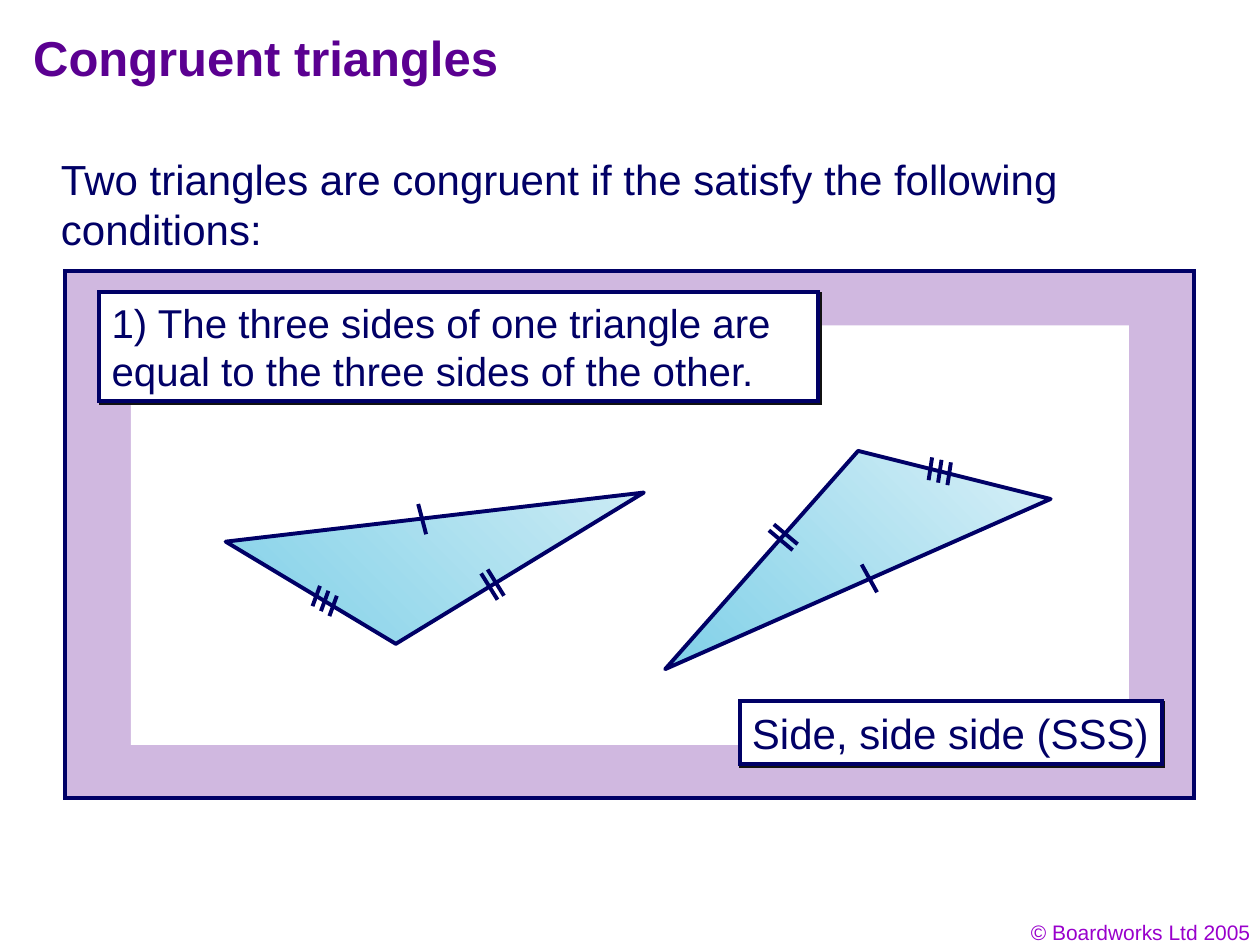
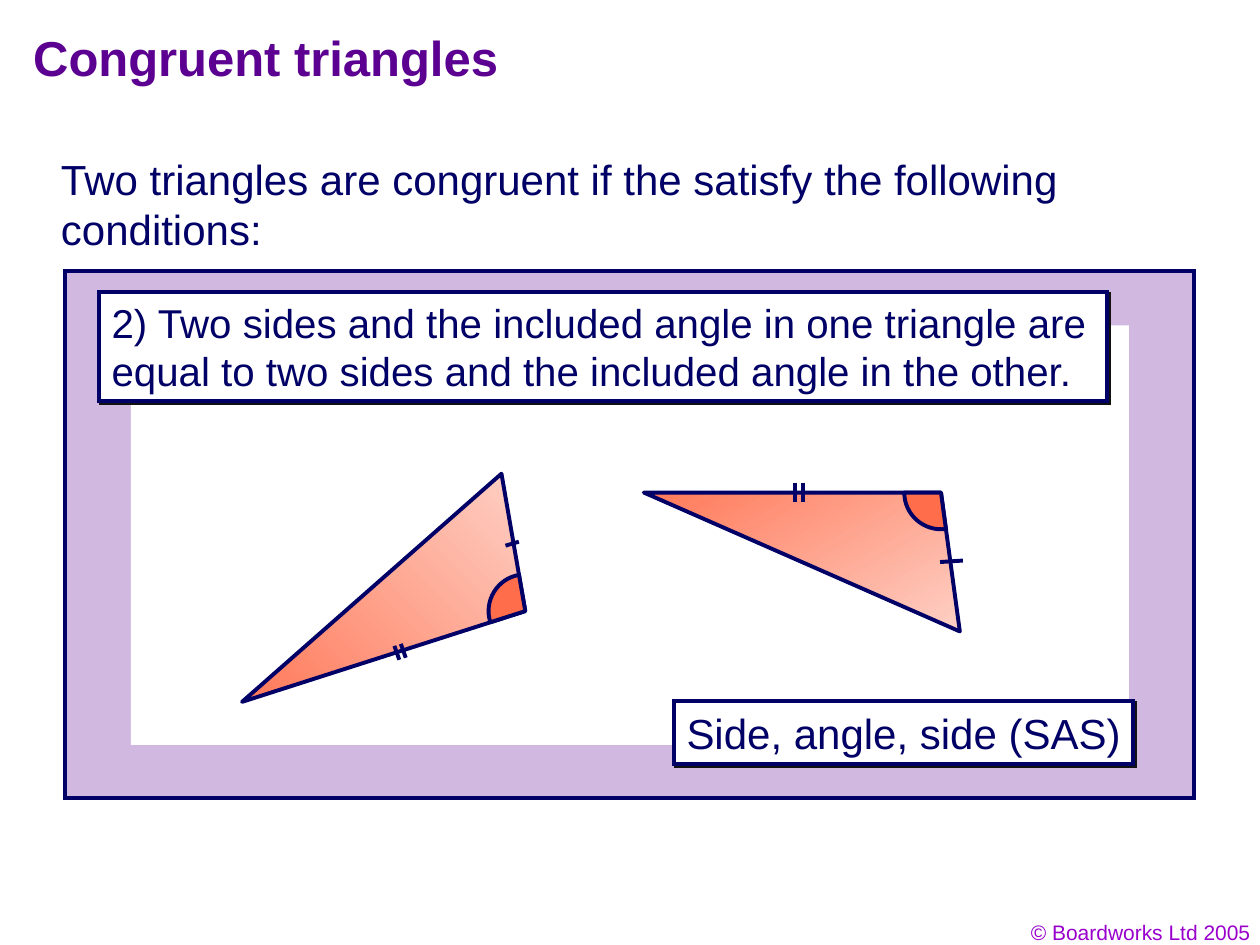
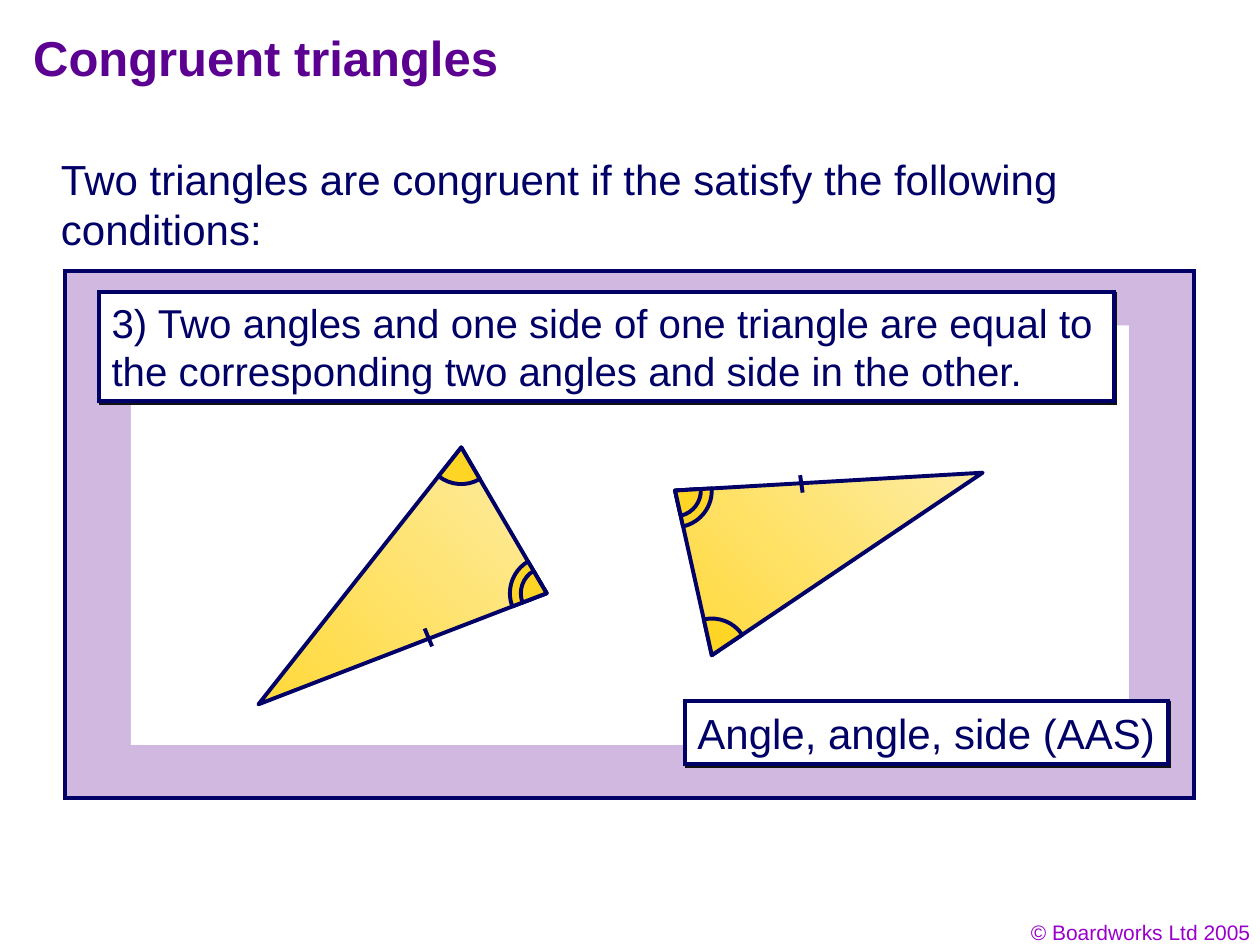
from dataclasses import dataclass
from math import atan2, cos, pi, remainder, sin, tan
from typing import Any

from lxml import etree
from pptx import Presentation
from pptx.dml.color import RGBColor
from pptx.enum.shapes import MSO_CONNECTOR, MSO_SHAPE
from pptx.enum.text import MSO_ANCHOR, PP_ALIGN
from pptx.oxml.ns import qn
from pptx.util import Cm, Pt

RECT = MSO_SHAPE.RECTANGLE
STRAIGHT = MSO_CONNECTOR.STRAIGHT
TOP = MSO_ANCHOR.TOP
LEFT, RIGHT = PP_ALIGN.LEFT, PP_ALIGN.RIGHT

WHITE = RGBColor(0xFF, 0xFF, 0xFF)
NAVY = RGBColor(0x00, 0x00, 0x66)
INK = RGBColor(0x01, 0x00, 0x66)
PURPLE = RGBColor(0x5B, 0x00, 0x91)
VIOLET = RGBColor(0x99, 0x00, 0xCC)
LILAC = RGBColor(0xD0, 0xB8, 0xE0)
SHADOW = RGBColor(0x11, 0x11, 0x11)
PALE_BLUE = RGBColor(0xCB, 0xEB, 0xF4)
PALER_BLUE = RGBColor(0xD9, 0xF0, 0xF7)
BLUE = RGBColor(0x80, 0xD0, 0xE8)
PALE_CORAL = RGBColor(0xFE, 0xD0, 0xC5)
CORAL = RGBColor(0xFF, 0x79, 0x59)
DEEP_CORAL = RGBColor(0xFF, 0x6D, 0x4B)
PALE_GOLD = RGBColor(0xFE, 0xEC, 0xA3)
GOLD = RGBColor(0xFF, 0xD9, 0x39)
DEEP_GOLD = RGBColor(0xFF, 0xD5, 0x25)

LINE_WIDTH = Pt(2.25)
WIDE, NARROW = 0.74, 0.52

Point = tuple[float, float]
Box = tuple[float, float, float, float]


@dataclass(frozen=True)
class TextStyle:
    size: float
    color: RGBColor = INK
    bold: bool = False
    align: Any = LEFT


@dataclass(frozen=True)
class Ticks:
    start: Point
    end: Point
    count: int = 1
    step: Point = (0, 0)


@dataclass(frozen=True)
class Angle:
    corner: int
    radii: tuple[float, ...] = (WIDE,)


@dataclass(frozen=True)
class Triangle:
    corners: tuple[Point, Point, Point]
    light: RGBColor
    dark: RGBColor
    ticks: tuple[Ticks, ...]
    angles: tuple[Angle, ...] = ()
    angle_fill: RGBColor = WHITE
    gradient_angle: float = 225


@dataclass(frozen=True)
class Condition:
    statement: str
    statement_width: float
    label: str
    label_left: float
    label_width: float
    triangles: tuple[Triangle, Triangle]


TITLE = TextStyle(28, PURPLE, bold=True)
BODY = TextStyle(24)
STATEMENT = TextStyle(23)
FOOTER = TextStyle(12, VIOLET, align=RIGHT)

CONDITIONS = (
    Condition(
        "1) The three sides of one triangle are equal to the three sides of the other.", 14.5,
        "Side, side side (SSS)", 14.91, 8.51,
        (
            Triangle(
                ((12.98, 9.93), (7.98, 12.98), (4.55, 10.92)), PALE_BLUE, BLUE,
                (
                    Ticks((6.45, 11.81), (6.3, 12.22), 3, (0.17, 0.1)),
                    Ticks((9.7, 11.56), (10.03, 12.09), 2, (0.13, -0.08)),
                    Ticks((8.59, 10.77), (8.43, 10.16)),
                ),
            ),
            Triangle(
                ((13.41, 13.49), (17.3, 9.09), (21.18, 10.06)), PALER_BLUE, BLUE,
                (
                    Ticks((18.72, 9.68), (18.79, 9.22), 3, (0.19, 0.05)),
                    Ticks((16.08, 10.97), (15.6, 10.57), 2, (-0.1, 0.12)),
                    Ticks((17.37, 11.38), (17.68, 11.94)),
                ),
            ),
        ),
    ),
    Condition(
        "2) Two sides and the included angle in one triangle are equal to two sides "
        "and the included angle in the other.", 20.32,
        "Side, angle, side (SAS)", 13.59, 9.25,
        (
            Triangle(
                ((4.88, 14.15), (10.11, 9.55), (10.59, 12.32)), PALE_CORAL, CORAL,
                (
                    Ticks((8.08, 12.98), (8.18, 13.26), 2, (-0.13, 0.04)),
                    Ticks((10.19, 11), (10.46, 10.92)),
                ),
                (Angle(2),), DEEP_CORAL,
            ),
            Triangle(
                ((12.98, 9.93), (19.35, 12.73), (18.97, 9.93)), PALE_CORAL, CORAL,
                (
                    Ticks((16.03, 9.73), (16.03, 10.11), 2, (0.15, 0)),
                    Ticks((18.95, 11.33), (19.41, 11.3)),
                ),
                (Angle(2),), DEEP_CORAL, gradient_angle=120,
            ),
        ),
    ),
    Condition(
        "3) Two angles and one side of one triangle are equal to the corresponding "
        "two angles and side in the other.", 20.45,
        "Angle, angle, side (AAS)", 13.81, 9.73,
        (
            Triangle(
                ((11.02, 11.96), (5.21, 14.2), (9.3, 9.02)), PALE_GOLD, GOLD,
                (Ticks((8.56, 12.67), (8.71, 13.03)),),
                (Angle(0, (WIDE, NARROW)), Angle(2)), DEEP_GOLD,
            ),
            Triangle(
                ((13.61, 9.89), (19.81, 9.53), (14.35, 13.21)), PALE_GOLD, GOLD,
                (Ticks((16.18, 9.93), (16.13, 9.58)),),
                (Angle(0, (WIDE, NARROW)), Angle(2)), DEEP_GOLD,
            ),
        ),
    ),
)


def write(sp: Any, text: str, style: TextStyle, wrap: bool = True) -> None:
    tf = sp.text_frame
    for name, value in {"word_wrap": wrap, "vertical_anchor": TOP}.items():
        setattr(tf, name, value)
    p = tf.paragraphs[0]
    p.alignment = style.align
    r = p.add_run()
    r.text = text
    font = {"name": "Arial", "size": Pt(style.size), "bold": style.bold}
    for name, value in font.items():
        setattr(r.font, name, value)
    r.font.color.rgb = style.color


def add_text(s: Any, box: Box, text: str, style: TextStyle) -> None:
    write(s.shapes.add_textbox(*map(Cm, box)), text, style)


def outline(sp: Any) -> None:
    sp.line.color.rgb = NAVY
    sp.line.width = LINE_WIDTH


def paint(sp: Any, color: RGBColor) -> None:
    sp.fill.solid()
    sp.fill.fore_color.rgb = color


def add_rect(s: Any, box: Box, fill: RGBColor, outlined: bool = True) -> Any:
    sp = s.shapes.add_shape(RECT, *map(Cm, box))
    sp.shadow.inherit = False
    paint(sp, fill)
    if outlined:
        outline(sp)
        etree.SubElement(sp._element.spPr.find(qn("a:ln")), qn("a:miter"), lim="800000")
    else:
        sp.line.fill.background()
    return sp


def add_card(s: Any, box: Box, text: str, style: TextStyle, wrap: bool) -> None:
    sp = add_rect(s, box, WHITE)
    effects = sp._element.spPr.find(qn("a:effectLst"))
    shadow = etree.SubElement(effects, qn("a:outerShdw"), dist=str(Pt(1.4)), dir="2700000",
                              algn="ctr", rotWithShape="0")
    etree.SubElement(shadow, qn("a:srgbClr"), val=str(SHADOW))
    write(sp, text, style, wrap)


def add_polygon(s: Any, points: list[Point]) -> Any:
    first, *rest = [(Cm(x), Cm(y)) for x, y in points]
    builder = s.shapes.build_freeform(*first, scale=1.0)
    builder.add_line_segments(rest, close=True)
    sp = builder.convert_to_shape()
    sp.shadow.inherit = False
    outline(sp)
    return sp


def add_ticks(s: Any, ticks: Ticks) -> None:
    dx, dy = ticks.step
    for i in range(ticks.count):
        ends = [(x + i * dx, y + i * dy) for x, y in (ticks.start, ticks.end)]
        line = s.shapes.add_connector(STRAIGHT, *(Cm(v) for end in ends for v in end))
        outline(line)
        etree.SubElement(line._element.spPr, qn("a:effectLst"))


def add_sector(s: Any, centre: Point, radius: float, start: float, sweep: float) -> Any:
    x, y = centre
    end = start + sweep
    pull = 4 / 3 * tan(sweep / 4)
    units = [
        (cos(start), sin(start)),
        (cos(start) - pull * sin(start), sin(start) + pull * cos(start)),
        (cos(end) + pull * sin(end), sin(end) - pull * cos(end)),
        (cos(end), sin(end)),
    ]
    tips = [(x + radius * ux, y + radius * uy) for ux, uy in (units[0], units[-1])]
    sp = add_polygon(s, [centre, *tips])
    box = {"left": x - radius, "top": y - radius, "width": 2 * radius, "height": 2 * radius}
    for name, value in box.items():
        setattr(sp, name, Cm(value))

    outline_path = next(sp._element.iter(qn("a:path")))
    for name in ("w", "h"):
        outline_path.set(name, str(Cm(2 * radius)))
    curve = etree.Element(qn("a:cubicBezTo"))
    for _ in units[1:]:
        etree.SubElement(curve, qn("a:pt"))
    outline_path.replace(outline_path[2], curve)
    for pt, (ux, uy) in zip(outline_path.iter(qn("a:pt")), [(0, 0), *units]):
        pt.set("x", str(Cm(radius * (1 + ux))))
        pt.set("y", str(Cm(radius * (1 + uy))))
    return sp


def add_angle(s: Any, triangle: Triangle, angle: Angle) -> None:
    x, y = triangle.corners[angle.corner]
    start, end = (
        atan2(py - y, px - x)
        for i, (px, py) in enumerate(triangle.corners) if i != angle.corner
    )
    sweep = remainder(end - start, 2 * pi)
    for radius in angle.radii:
        paint(add_sector(s, (x, y), radius, start, sweep), triangle.angle_fill)


def add_triangle(s: Any, triangle: Triangle) -> None:
    sp = add_polygon(s, list(triangle.corners))
    sp.fill.gradient()
    sp.fill.gradient_angle = triangle.gradient_angle
    for stop, color in zip(sp.fill.gradient_stops, (triangle.light, triangle.dark)):
        stop.color.rgb = color
    for angle in triangle.angles:
        add_angle(s, triangle, angle)
    for ticks in triangle.ticks:
        add_ticks(s, ticks)


def add_base(s: Any) -> None:
    add_text(s, (19.54, 18.42, 5.92, 0.76), "© Boardworks Ltd 2005", FOOTER)
    add_text(s, (0.42, 0.43, 21.59, 1.7), "Congruent triangles", TITLE)
    add_text(s, (0.98, 2.97, 23.27, 2.29),
             "Two triangles are congruent if the satisfy the following conditions:", BODY)
    add_rect(s, (1.32, 5.46, 22.76, 10.62), LILAC)
    add_rect(s, (2.64, 6.56, 20.12, 8.46), WHITE, outlined=False)


def add_condition(s: Any, c: Condition) -> None:
    add_base(s)
    add_card(s, (2, 5.89, c.statement_width, 2.2), c.statement, STATEMENT, wrap=True)
    add_card(s, (c.label_left, 14.14, c.label_width, 1.27), c.label, BODY, wrap=False)
    for triangle in c.triangles:
        add_triangle(s, triangle)


def main() -> None:
    prs = Presentation()
    prs.slide_width, prs.slide_height = Cm(25.4), Cm(19.05)
    for condition in CONDITIONS:
        add_condition(prs.slides.add_slide(prs.slide_layouts[6]), condition)
    prs.save("out.pptx")


if __name__ == "__main__":
    main()
